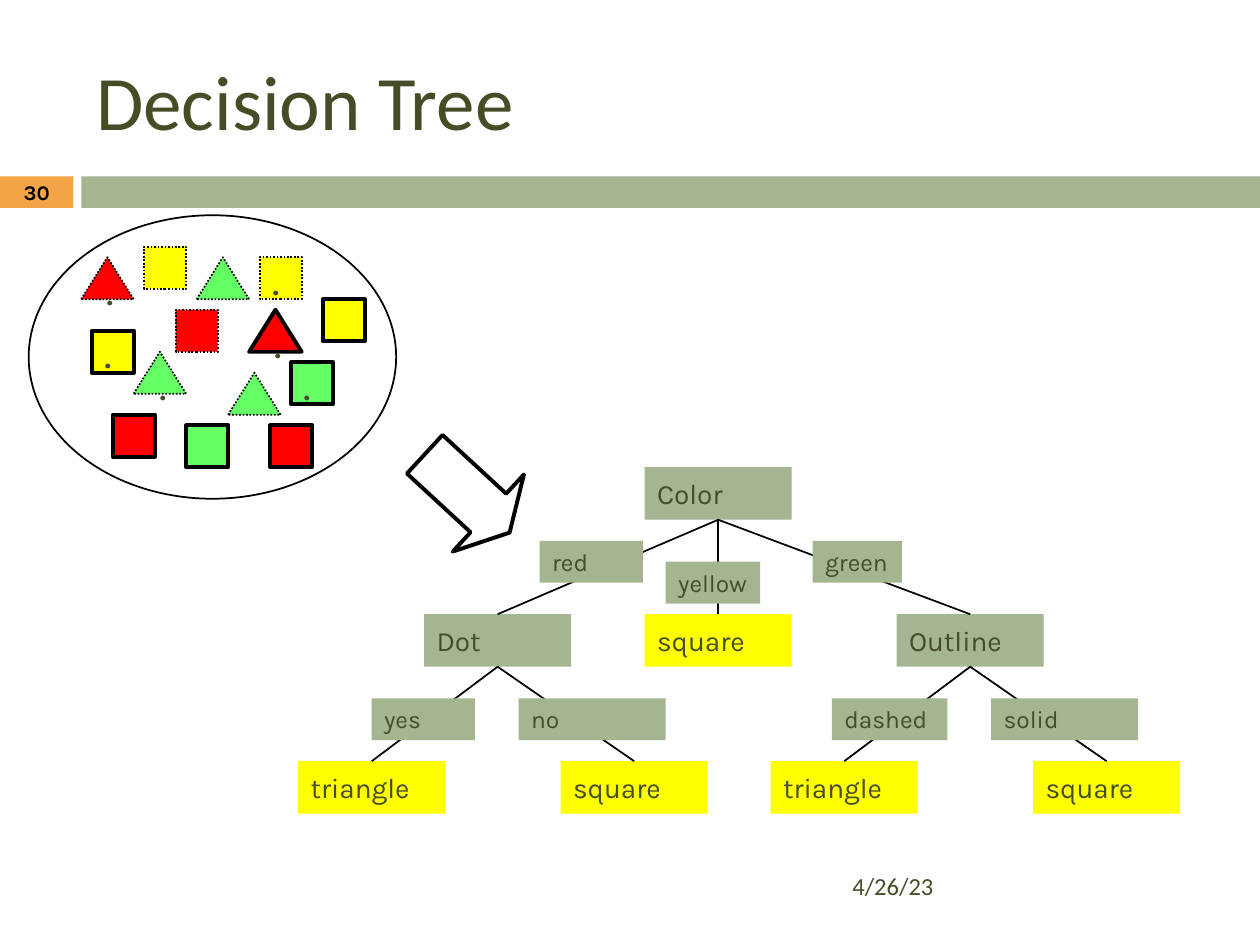
from dataclasses import dataclass

from lxml.etree import SubElement
from pptx import Presentation
from pptx.dml.color import RGBColor
from pptx.enum.dml import MSO_LINE as Dash
from pptx.enum.shapes import MSO_CONNECTOR as Connector, MSO_SHAPE as Shape
from pptx.enum.text import MSO_ANCHOR as Anchor, MSO_AUTO_SIZE as AutoSize, PP_ALIGN as Align
from pptx.oxml.ns import qn
from pptx.util import Pt


@dataclass(frozen=True)
class Theme:
    ink: str = "444D26"
    black: str = "000000"
    sage: str = "A5B592"
    orange: str = "F3A447"
    red: str = "FF0000"
    yellow: str = "FFFF00"
    green: str = "66FF66"
    heading_font: str = "Calibri"
    body_font: str = "Karla"
    title_size: float = 44
    dot_size: float = 24
    node_size: float = 16
    branch_size: float = 14
    number_size: float = 11.9
    thin: float = 1
    thick: float = 2.25


THEME = Theme()
NODE_WIDTH, NODE_HEIGHT, BRANCH_HEIGHT = 84, 30, 24
ROOT_TOP, MIDDLE_TOP, LEAF_TOP = 267, 351, 435
SET_LEFT, SET_TOP, GRID_STEP = 16.4, 123, 6

SAMPLES = [
    (21, 9, "triangle", THEME.red, "solid", True),
    (11, 3, "square", THEME.yellow, "dashed", False),
    (5, 4, "triangle", THEME.red, "dashed", True),
    (19, 15, "triangle", THEME.green, "dashed", False),
    (16, 4, "triangle", THEME.green, "dashed", False),
    (10, 13, "triangle", THEME.green, "dashed", True),
    (14, 9, "square", THEME.red, "dashed", False),
    (28, 8, "square", THEME.yellow, "solid", False),
    (6, 11, "square", THEME.yellow, "solid", True),
    (8, 19, "square", THEME.red, "solid", False),
    (22, 4, "square", THEME.yellow, "dashed", True),
    (15, 20, "square", THEME.green, "solid", False),
    (25, 14, "square", THEME.green, "solid", True),
    (23, 20, "square", THEME.red, "solid", False),
]

NODES = [
    ("Color", 410.4, ROOT_TOP, THEME.sage),
    ("Dot", 284.4, MIDDLE_TOP, THEME.sage),
    ("square", 410.4, MIDDLE_TOP, THEME.yellow),
    ("Outline", 554.4, MIDDLE_TOP, THEME.sage),
    ("triangle", 212.4, LEAF_TOP, THEME.yellow),
    ("square", 362.4, LEAF_TOP, THEME.yellow),
    ("triangle", 482.4, LEAF_TOP, THEME.yellow),
    ("square", 632.4, LEAF_TOP, THEME.yellow),
]

BRANCHES = [
    ("red", 0, 1, 308.4, 309, 59, True),
    ("yellow", 0, 2, 380.4, 321, 54, False),
    ("green", 0, 3, 464.4, 309, 51, False),
    ("yes", 1, 4, 212.4, 399, 59, True),
    ("no", 1, 5, 296.4, 399, 84, True),
    ("dashed", 3, 6, 475.4, 399, 66, True),
    ("solid", 3, 7, 566.4, 399, 84, True),
]


def add_figure(slide, kind, box, fill=None, weight=None, dash=None):
    figure = slide.shapes.add_shape(kind, *map(Pt, box))
    figure.shadow.inherit = False
    if fill:
        figure.fill.solid()
        figure.fill.fore_color.rgb = RGBColor.from_string(fill)
    else:
        figure.fill.background()
    if weight:
        figure.line.color.rgb = RGBColor.from_string(THEME.black)
        figure.line.width = Pt(weight)
        if dash:
            figure.line.dash_style = dash
    else:
        figure.line.fill.background()
    return figure


def write(holder, wording, size, font=THEME.body_font, color=THEME.ink, bold=False,
          align=Align.LEFT, anchor=Anchor.MIDDLE, wrap=True):
    frame = holder.text_frame
    frame.text = wording
    frame.word_wrap = wrap
    frame.vertical_anchor = anchor
    paragraph = frame.paragraphs[0]
    paragraph.alignment = align
    style = paragraph.runs[0].font
    style.name, style.size, style.bold = font, Pt(size), bold
    style.color.rgb = RGBColor.from_string(color)


def add_caption(slide, box, wording, size, **options):
    write(slide.shapes.add_textbox(*map(Pt, box)), wording, size, **options)


def add_edge(slide, parent, child):
    _, start_x, start_top, _ = parent
    _, end_x, end_top, _ = child
    ends = (start_x, start_top + NODE_HEIGHT, end_x, end_top)
    edge = slide.shapes.add_connector(Connector.STRAIGHT, *map(Pt, ends))
    edge.line.color.rgb = RGBColor.from_string(THEME.black)
    edge.line.width = Pt(THEME.thin)
    SubElement(edge._element.spPr, qn("a:effectLst"))


def add_sample(slide, column, row, form, color, outline, dotted):
    kind, width = (Shape.ISOSCELES_TRIANGLE, 30) if form == "triangle" else (Shape.RECTANGLE, 24)
    weight, dash = (THEME.thick, None) if outline == "solid" else (THEME.thin, Dash.ROUND_DOT)
    box = (SET_LEFT + column * GRID_STEP, SET_TOP + row * GRID_STEP, width, 24)
    sample = add_figure(slide, kind, box, color, weight, dash)
    if dotted:
        write(sample, ".", THEME.dot_size, wrap=False)


def add_tree(slide):
    for wording, center, top, color in NODES:
        box = (center - NODE_WIDTH / 2, top, NODE_WIDTH, NODE_HEIGHT)
        node = add_figure(slide, Shape.RECTANGLE, box, color)
        write(node, wording, THEME.node_size, wrap=False)
    for _, parent, child, *_ in BRANCHES:
        add_edge(slide, NODES[parent], NODES[child])
    for wording, _, _, left, top, width, wrap in BRANCHES:
        branch = add_figure(slide, Shape.RECTANGLE, (left, top, width, BRANCH_HEIGHT), THEME.sage)
        write(branch, wording, THEME.branch_size, anchor=Anchor.TOP, wrap=wrap)
        branch.text_frame.auto_size = AutoSize.SHAPE_TO_FIT_TEXT


def add_training_set(slide):
    for sample in SAMPLES:
        add_sample(slide, *sample)
    add_figure(slide, Shape.OVAL, (SET_LEFT, SET_TOP, 210, 162), weight=THEME.thin)
    arrow = add_figure(slide, Shape.RIGHT_ARROW, (234, 252, 66, 60), weight=THEME.thick)
    arrow.adjustments[0], arrow.adjustments[1] = 0.5, 0.275
    arrow.rotation = 42.7


def main():
    deck = Presentation()
    deck.slide_width, deck.slide_height = Pt(720), Pt(540)
    slide = deck.slides.add_slide(deck.slide_layouts[6])
    add_figure(slide, Shape.RECTANGLE, (0, 100.8, 42, 18), THEME.orange)
    add_figure(slide, Shape.RECTANGLE, (46.5, 100.8, 673.5, 18), THEME.sage)
    add_caption(slide, (48, 18, 642, 78), "Decision Tree", THEME.title_size,
                font=THEME.heading_font)
    add_tree(slide)
    add_training_set(slide)
    add_caption(slide, (0, 100, 42, 19.5), "30", THEME.number_size,
                color=THEME.black, bold=True, align=Align.CENTER)
    add_caption(slide, (480, 492, 210, 28.8), "4/26/23", THEME.branch_size,
                font=THEME.heading_font)
    deck.save("out.pptx")


main()
